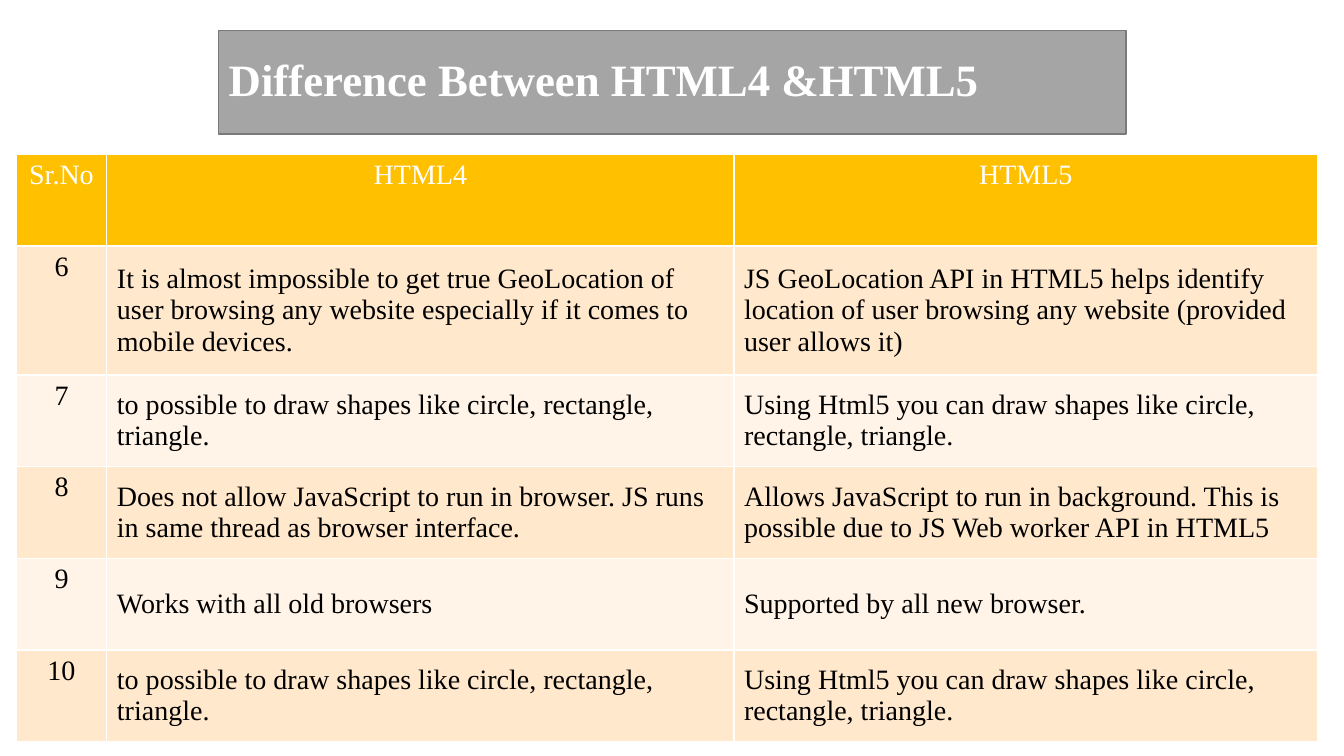
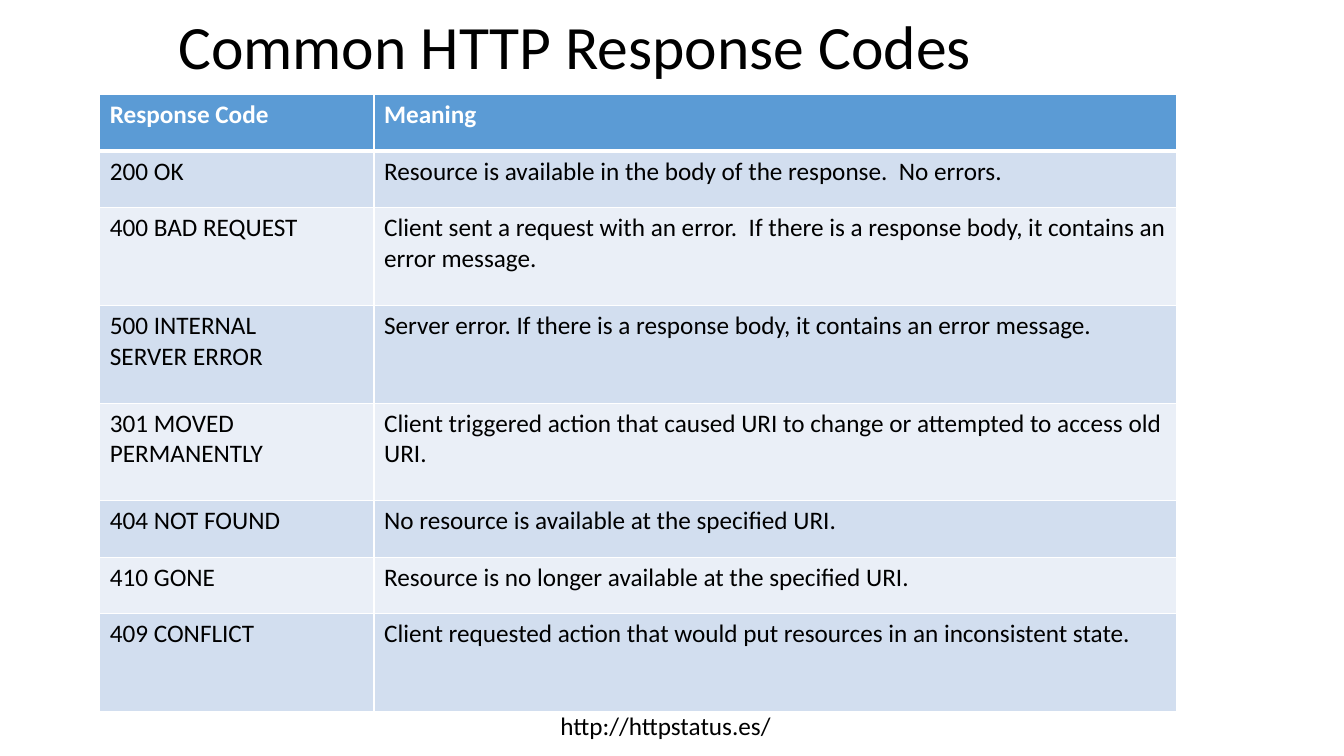
from lxml.etree import SubElement
from pptx import Presentation
from pptx.dml.color import RGBColor
from pptx.enum.text import MSO_ANCHOR as Anchor, PP_ALIGN as Align
from pptx.oxml.ns import qn
from pptx.util import Inches, Pt

WHITE, BLACK = "FFFFFF", "000000"


def rgb(code):
    """Turn a hex string into a colour."""
    return RGBColor.from_string(code)


def write(frame, text, font, size, color, bold=False, align=Align.LEFT, spacing=None):
    """Fill a text frame and format all of its runs."""
    frame.text = text
    frame.word_wrap = True
    for paragraph in frame.paragraphs:
        paragraph.alignment = align
        paragraph.line_spacing = spacing
        for run in paragraph.runs:
            run.font.name, run.font.size, run.font.bold = font, Pt(size), bold
            run.font.color.rgb = rgb(color)


html_versions = {
    "title": "Difference Between HTML4 &HTML5",
    "title_box": (2.17, 0.3, 9, 1.03),
    "title_size": 32,
    "title_color": WHITE,
    "title_fill": "A5A5A5",
    "title_line": "7A7A7A",
    "bold_title": True,
    "bold_header": False,
    "font": "Times New Roman",
    "size": 20,
    "corner": (0.16, 1.53),
    "columns": (0.9, 6.22, 5.79),
    "heights": (0.91, 1.28, 0.91, 0.91, 0.91, 0.91),
    "header_fill": "FFC000",
    "bands": ("FFE8CC", "FFF4E7"),
    "header_rule": 1,
    "numbered": True,
    "rows": [
        ("Sr.No", "HTML4", "HTML5"),
        ("6",
         "It is almost impossible to get true GeoLocation of user browsing any website "
         "especially if it comes to mobile devices.",
         "JS GeoLocation API in HTML5 helps identify location of user browsing any website "
         "(provided user allows it)"),
        ("7", "to possible to draw shapes like circle, rectangle, triangle.",
         "Using Html5 you can draw shapes like circle, rectangle, triangle."),
        ("8",
         "Does not allow JavaScript to run in browser. JS runs in same thread as browser interface.",
         "Allows JavaScript to run in background. This is possible due to JS Web worker API in HTML5"),
        ("9", "Works with all old browsers", "Supported by all new browser."),
        ("10", "to possible to draw shapes like circle, rectangle, triangle.",
         "Using Html5 you can draw shapes like circle, rectangle, triangle."),
    ],
}
response_codes = {
    "title": "Common HTTP Response Codes",
    "title_box": (1.67, 0, 10, 0.99),
    "title_size": 44,
    "title_color": BLACK,
    "title_fill": None,
    "bold_title": False,
    "bold_header": True,
    "font": "Calibri",
    "size": 18,
    "corner": (0.99, 0.94),
    "columns": (2.72, 7.96),
    "heights": (0.56, 0.56, 0.97, 0.97, 0.97, 0.56, 0.56, 0.97),
    "header_fill": "5B9BD5",
    "bands": ("D2DEEF", "EAEFF7"),
    "header_rule": 3,
    "numbered": False,
    "rows": [
        ("Response Code", "Meaning"),
        ("200 OK", "Resource is available in the body of the response.  No errors."),
        ("400 BAD REQUEST",
         "Client sent a request with an error.  If there is a response body, "
         "it contains an error message."),
        ("500 INTERNAL\nSERVER ERROR",
         "Server error. If there is a response body, it contains an error message."),
        ("301 MOVED PERMANENTLY",
         "Client triggered action that caused URI to change or attempted to access old URI."),
        ("404 NOT FOUND", "No resource is available at the specified URI."),
        ("410 GONE", "Resource is no longer available at the specified URI."),
        ("409 CONFLICT",
         "Client requested action that would put resources in an inconsistent state."),
    ],
}

deck = Presentation()
deck.slide_width, deck.slide_height = Inches(13.33), Inches(7.5)

for topic in (html_versions, response_codes):
    slide = deck.slides.add_slide(deck.slide_layouts[6])
    font, size = topic["font"], topic["size"]
    columns, heights = topic["columns"], topic["heights"]

    title = slide.shapes.add_textbox(*map(Inches, topic["title_box"]))
    write(title.text_frame, topic["title"], font, topic["title_size"], topic["title_color"],
          topic["bold_title"], spacing=0.9)
    title.text_frame.vertical_anchor = Anchor.MIDDLE
    if topic["title_fill"]:
        title.fill.solid()
        title.fill.fore_color.rgb = rgb(topic["title_fill"])
        title.line.color.rgb = rgb(topic["title_line"])
        title.line.width = Pt(1)

    comparison = slide.shapes.add_table(
        len(heights), len(columns), *map(Inches, topic["corner"]),
        Inches(sum(columns)), Inches(sum(heights))).table
    for column, width in zip(comparison.columns, columns):
        column.width = Inches(width)
    for row, height in zip(comparison.rows, heights):
        row.height = Inches(height)

    for r, texts in enumerate(topic["rows"]):
        header = r == 0
        fill = topic["header_fill"] if header else topic["bands"][(r - 1) % 2]
        rules = {"L": 1, "R": 1,
                 "T": topic["header_rule"] if r == 1 else 1,
                 "B": topic["header_rule"] if header else 1}
        for c, text in enumerate(texts):
            cell = comparison.cell(r, c)
            centred = topic["numbered"] and (header or c == 0)
            write(cell.text_frame, text, font, size, WHITE if header else BLACK,
                  header and topic["bold_header"], Align.CENTER if centred else Align.LEFT)
            middle = topic["numbered"] and not centred
            cell.vertical_anchor = Anchor.MIDDLE if middle else Anchor.TOP
            properties = cell._tc.get_or_add_tcPr()
            for side, points in rules.items():
                border = SubElement(properties, qn(f"a:ln{side}"), w=str(Pt(points)))
                SubElement(SubElement(border, qn("a:solidFill")), qn("a:srgbClr"), val=WHITE)
            cell.fill.solid()
            cell.fill.fore_color.rgb = rgb(fill)

reference = slide.shapes.add_textbox(Inches(5.46), Inches(7), Inches(2.42), Inches(0.4))
write(reference.text_frame, "http://httpstatus.es/", "Calibri", 18, BLACK)

deck.save("out.pptx")
